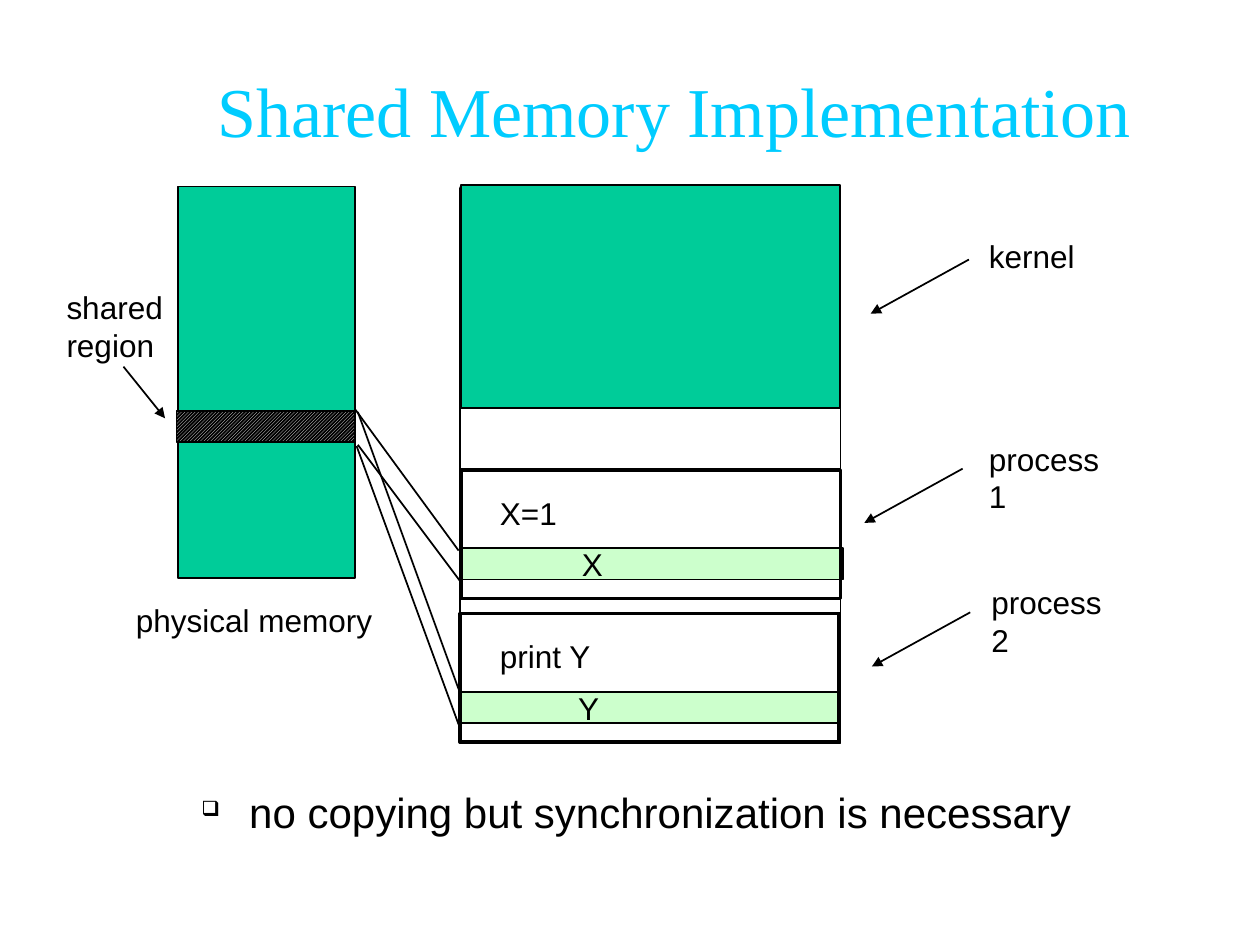
from pptx import Presentation
from pptx.dml.color import RGBColor
from pptx.enum.dml import MSO_PATTERN
from pptx.enum.shapes import MSO_CONNECTOR, MSO_SHAPE
from pptx.enum.text import MSO_ANCHOR, PP_ALIGN
from pptx.oxml.ns import qn
from pptx.util import Inches, Pt
from lxml import etree

RECTANGLE = MSO_SHAPE.RECTANGLE
STRAIGHT = MSO_CONNECTOR.STRAIGHT
HATCH = MSO_PATTERN.DARK_UPWARD_DIAGONAL
TOP, BOTTOM = MSO_ANCHOR.TOP, MSO_ANCHOR.BOTTOM
LEFT, CENTER = PP_ALIGN.LEFT, PP_ALIGN.CENTER

BLACK = RGBColor(0x00, 0x00, 0x00)
WHITE = RGBColor(0xFF, 0xFF, 0xFF)
GREEN = RGBColor(0x00, 0xCC, 0x99)
PALE_GREEN = RGBColor(0xCC, 0xFF, 0xCC)
SKY = RGBColor(0x00, 0xCC, 0xFF)

COLUMNS, ROWS = 100, 75
PROCESS_PITCH = 11.4


def write(frame, text, font="Arial", size=18, color=BLACK, align=LEFT, bullet=None):
    for index, line in enumerate(text.split("\n")):
        paragraph = frame.paragraphs[0] if index == 0 else frame.add_paragraph()
        paragraph.text = line
        paragraph.alignment = align
        if bullet:
            properties = paragraph._p.get_or_add_pPr()
            properties.set("marL", str(Inches(0.38)))
            properties.set("indent", str(Inches(-0.38)))
            etree.SubElement(properties, qn("a:buSzPct"), val="50000")
            etree.SubElement(properties, qn("a:buChar"), char=bullet)
        paragraph.font.name = font
        paragraph.font.size = Pt(size)
        paragraph.font.color.rgb = color


class MemorySlide:
    def __init__(self, deck):
        self.slide = deck.slides.add_slide(deck.slide_layouts[6])
        self.column = deck.slide_width / COLUMNS
        self.row = deck.slide_height / ROWS

    def place(self, x, y):
        return round(x * self.column), round(y * self.row)

    def label(self, x, y, width, height, text, anchor=TOP, **style):
        box = self.slide.shapes.add_textbox(*self.place(x, y), *self.place(width, height))
        box.text_frame.word_wrap = True
        box.text_frame.vertical_anchor = anchor
        write(box.text_frame, text, **style)

    def block(self, x, y, width, height, fill=None, weight=1, hatched=False):
        block = self.slide.shapes.add_shape(
            RECTANGLE, *self.place(x, y), *self.place(width, height))
        block.shadow.inherit = False
        block.line.color.rgb = BLACK
        block.line.width = Pt(weight)
        if hatched:
            block.fill.patterned()
            block.fill.pattern = HATCH
            block.fill.fore_color.rgb = WHITE
            block.fill.back_color.rgb = BLACK
        elif fill is None:
            block.fill.background()
        else:
            block.fill.solid()
            block.fill.fore_color.rgb = fill

    def line(self, start, end, arrow=False):
        line = self.slide.shapes.add_connector(
            STRAIGHT, *self.place(*start), *self.place(*end))
        line.line.color.rgb = BLACK
        line.line.width = Pt(1)
        if arrow:
            etree.SubElement(line.line._get_or_add_ln(), qn("a:tailEnd"), type="triangle")
        etree.SubElement(line._element.spPr, qn("a:effectLst"))

    def pointer(self, x, y):
        self.line((x + 7.8, y), (x, y + 4.3), arrow=True)


def main():
    deck = Presentation()
    deck.slide_width, deck.slide_height = Inches(10), Inches(7.5)
    memory = MemorySlide(deck)

    memory.block(36.7, 15, 29.8, 17.4, WHITE, weight=4)
    memory.label(6.1, 2.5, 94.8, 10, "Shared Memory Implementation", anchor=BOTTOM,
                 font="Times New Roman", size=40, color=SKY, align=CENTER)
    memory.label(15, 61.9, 74.4, 5.4, "no copying but synchronization is necessary",
                 size=24, bullet="❑")

    memory.block(36.5, 15.8, 30.2, 43.2, WHITE)
    memory.block(36.6, 14.7, 30.1, 17.7, GREEN)
    memory.label(77.5, 18.3, 10, 4, "kernel")
    memory.pointer(69.1, 20.6)

    processes = [
        ("process 1", "X=1", "X", 36.6, 36.6, 45.2, 77.5, 68.6),
        ("process 2", "print Y", "Y", 36.5, 36.4, 44.9, 77.7, 69.2),
    ]
    for index, process in enumerate(processes):
        name, code, variable, box_x, shared_x, variable_x, name_x, pointer_x = process
        top = 37.3 + index * PROCESS_PITCH
        memory.block(shared_x, top + 6.2, 30.3, 2.5, PALE_GREEN)
        memory.block(box_x, top, 30.1, 10.2, weight=2)
        memory.label(38.7, top + 1.4, 12, 4, code)
        memory.label(variable_x, top + 5.5, 5, 4, variable)
        memory.label(name_x, top - 2.9, 12, 7, name)
        memory.pointer(pointer_x, top - 0.1)

    memory.block(14.1, 14.8, 14.1, 31.1, GREEN)
    memory.block(14, 32.6, 14.2, 2.5, hatched=True)
    memory.label(9.8, 47.2, 22, 4, "physical memory")
    memory.label(4.3, 22.4, 11, 7, "shared\nregion")
    memory.line((9.8, 29.1), (13.1, 33.2), arrow=True)

    mappings = [
        ((28.2, 32.5), (36.4, 43.7)),
        ((28.4, 35.3), (36.5, 46.1)),
        ((28.4, 32.7), (36.4, 54.7)),
        ((28.3, 35.4), (36.4, 57.5)),
    ]
    for physical, virtual in mappings:
        memory.line(physical, virtual)

    deck.save("out.pptx")


if __name__ == "__main__":
    main()
